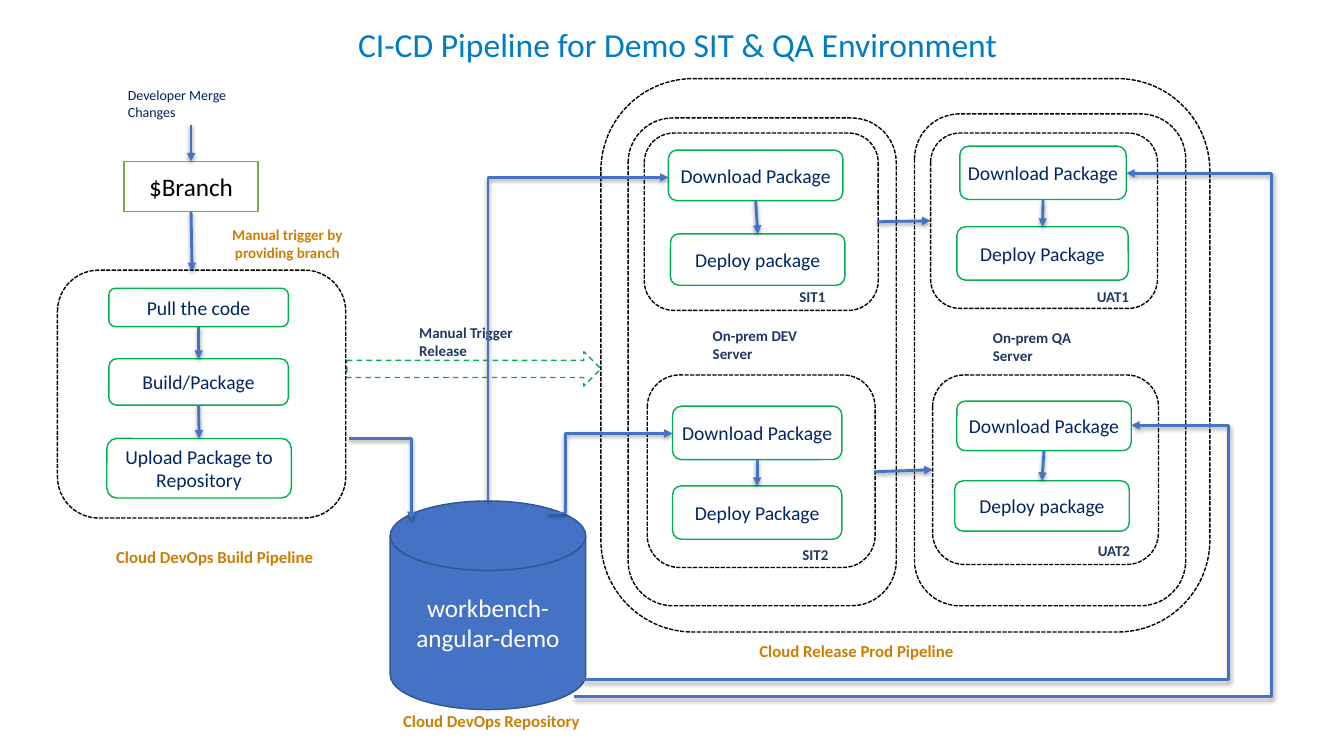
from lxml.etree import SubElement
from pptx import Presentation
from pptx.dml.color import RGBColor
from pptx.enum.dml import MSO_LINE
from pptx.enum.shapes import MSO_CONNECTOR, MSO_SHAPE
from pptx.enum.text import MSO_ANCHOR, MSO_AUTO_SIZE, PP_ALIGN
from pptx.oxml.ns import qn
from pptx.util import Inches, Pt

COLORS = {
    "title": "007CC3", "step": "002663", "note": "002060", "label": "203864",
    "caption": "CB7F04", "black": "000000", "white": "FFFFFF", "green": "00B050",
    "branch": "70AD47", "blue": "4472C4", "store": "325491",
}
FONTS = {
    "title": {"size": Pt(24), "bold": False},
    "step": {"size": Pt(14), "bold": False},
    "note": {"size": Pt(10), "bold": False},
    "label": {"size": Pt(10.7), "bold": True},
    "caption": {"size": Pt(12), "bold": True},
    "trigger": {"size": Pt(10.7), "bold": True, "color": "caption"},
    "branch": {"size": Pt(18), "bold": False, "color": "black"},
    "store": {"size": Pt(18), "bold": False, "color": "white"},
}
PLAIN_MARGINS = (0.1, 0.05)
STEP_MARGINS = (0.02, 0.05)
CAPTION_MARGINS = (0.13, 0.07)


def color(name):
    return RGBColor.from_string(COLORS[name])


def inches(values):
    return [Inches(value) for value in values]


def shifted(box, offset):
    """Turn a box given relative to another box into a slide box."""
    return (box[0] + offset[0], box[1] + offset[1], *offset[2:])


def write(shape, text, style, align=PP_ALIGN.CENTER, anchor=MSO_ANCHOR.MIDDLE,
          margins=PLAIN_MARGINS):
    frame = shape.text_frame
    side, edge = inches(margins)
    frame_format = {
        "word_wrap": True, "auto_size": MSO_AUTO_SIZE.NONE, "vertical_anchor": anchor,
        "margin_left": side, "margin_right": side, "margin_top": edge, "margin_bottom": edge,
    }
    for name, value in frame_format.items():
        setattr(frame, name, value)
    paragraph = frame.paragraphs[0]
    paragraph.alignment = align
    run = paragraph.add_run()
    run.text = text
    font_format = {"name": "Calibri", **FONTS[style]}
    run.font.color.rgb = color(font_format.pop("color", style))
    for name, value in font_format.items():
        setattr(run.font, name, value)


def add_label(slide, box, text, style="label", align=PP_ALIGN.LEFT, margins=PLAIN_MARGINS):
    write(slide.shapes.add_textbox(*inches(box)), text, style, align, MSO_ANCHOR.TOP, margins)


def add_caption(slide, box, text, style="caption"):
    add_label(slide, box, text, style, PP_ALIGN.CENTER, CAPTION_MARGINS)


def add_outline(slide, kind, box, line, fill=None, dash=None):
    shape = slide.shapes.add_shape(kind, *inches(box))
    shape.shadow.inherit = False
    if fill:
        shape.fill.solid()
        shape.fill.fore_color.rgb = color(fill)
    else:
        shape.fill.background()
    shape.line.color.rgb = color(line)
    shape.line.width = Pt(1)
    if dash:
        shape.line.dash_style = dash
    return shape


def add_group_frame(slide, box):
    add_outline(slide, MSO_SHAPE.ROUNDED_RECTANGLE, box, "black", dash=MSO_LINE.SQUARE_DOT)


def add_step(slide, box, text):
    shape = add_outline(slide, MSO_SHAPE.FLOWCHART_ALTERNATE_PROCESS, box, "green")
    write(shape, text, "step", margins=STEP_MARGINS)


def add_arrow(slide, start, end, preset="line", bend=None, head="tailEnd"):
    kind = MSO_CONNECTOR.STRAIGHT if preset == "line" else MSO_CONNECTOR.ELBOW
    connector = slide.shapes.add_connector(kind, *inches((*start, *end)))
    connector.line.color.rgb = color("blue")
    connector.line.width = Pt(2)
    properties = connector._element.spPr
    SubElement(properties.find(qn("a:ln")), qn("a:" + head), type="triangle")
    geometry = properties.find(qn("a:prstGeom"))
    geometry.set("prst", preset)
    if bend is not None:
        guides = geometry.find(qn("a:avLst"))
        if guides is None:
            guides = SubElement(geometry, qn("a:avLst"))
        SubElement(guides, qn("a:gd"), name="adj1", fmla=f"val {round(bend * 100000)}")
    # Soft shadow below the line
    effects = SubElement(properties, qn("a:effectLst"))
    shadow = SubElement(effects, qn("a:outerShdw"), blurRad=str(Pt(3)), dist=str(Pt(1.6)),
                        dir="5400000", rotWithShape="0")
    tint = SubElement(shadow, qn("a:srgbClr"), val=COLORS["black"])
    SubElement(tint, qn("a:alpha"), val="38000")


def add_detour(slide, start, end, turn):
    """Horizontal, vertical, horizontal arrow that turns at a given x."""
    bend = (turn - start[0]) / (end[0] - start[0])
    add_arrow(slide, start, end, "bentConnector3", bend)


def add_step_chain(slide, box, steps):
    """Steps under each other, each joined to the next by an arrow."""
    previous = None
    for text, offset in steps:
        left, top, width, height = place = shifted(box, offset)
        add_step(slide, place, text)
        center = left + width / 2
        if previous:
            add_arrow(slide, previous, (center, top))
        previous = (center, top + height)


def add_title(slide, box):
    title = slide.shapes.title
    title.left, title.top, title.width, title.height = inches(box)
    write(title, "CI-CD Pipeline for Demo SIT & QA Environment", "title", anchor=MSO_ANCHOR.TOP)
    title.text_frame.paragraphs[0].line_spacing = 0.9


def add_branch(slide, box):
    left, top, width, height = box
    add_label(slide, shifted(box, (-0.06, -0.79, 1.53, 0.42)), "Developer Merge Changes", "note")
    shape = add_outline(slide, MSO_SHAPE.RECTANGLE, box, "branch", "white")
    write(shape, "$Branch", "branch")
    center = left + width / 2
    add_arrow(slide, (center, top - 0.36), (center, top))
    add_arrow(slide, (center, top + height), (center + 0.01, top + 1.09))
    add_caption(slide, shifted(box, (0.91, 0.57, 1.42, 0.49)),
                "Manual trigger by providing branch", "trigger")


def add_build_pipeline(slide, box):
    add_group_frame(slide, box)
    add_step_chain(slide, box, [
        ("Pull the code", (0.51, 0.18, 1.78, 0.38)),
        ("Build/Package", (0.51, 0.88, 1.78, 0.46)),
        ("Upload Package to Repository", (0.49, 1.67, 1.83, 0.59)),
    ])
    add_caption(slide, shifted(box, (0.29, 2.67, 2.54, 0.34)), "Cloud DevOps Build Pipeline")


def add_environment(slide, box, name, name_offset, deploy_text, download, deploy):
    add_group_frame(slide, box)
    add_step_chain(slide, box, [("Download Package", download), (deploy_text, deploy)])
    add_label(slide, shifted(box, (*name_offset, 1.15, 0.28)), name)


def add_release_pipeline(slide, box):
    # Nested frames: whole pipeline, DEV server, QA server
    for offset in [(0, 0, *box[2:]), (0.27, 0.39, 2.66, 4.84), (3.11, 0.35, 2.69, 4.88)]:
        add_group_frame(slide, shifted(box, offset))
    environments = [
        ((0.43, 0.54, 2.32, 1.76), "SIT1", (1.44, 1.48), "Deploy package",
         (0.24, 0.17, 1.73, 0.5), (0.26, 1, 1.73, 0.51)),
        ((3.27, 0.54, 2.25, 1.74), "UAT1", (1.55, 1.48), "Deploy Package",
         (0.29, 0.13, 1.65, 0.53), (0.26, 0.93, 1.7, 0.53)),
        ((0.46, 2.94, 2.26, 1.91), "SIT2", (1.44, 1.64), "Deploy Package",
         (0.25, 0.31, 1.68, 0.53), (0.25, 1.1, 1.68, 0.53)),
        ((3.29, 2.94, 2.24, 1.88), "UAT2", (1.54, 1.6), "Deploy package",
         (0.24, 0.26, 1.73, 0.49), (0.22, 1.05, 1.73, 0.5)),
    ]
    for offset, *details in environments:
        add_environment(slide, shifted(box, offset), *details)
    add_label(slide, shifted(box, (1.01, 2.41, 1.15, 0.47)), "On-prem DEV Server")
    add_label(slide, shifted(box, (3.79, 2.43, 1.1, 0.47)), "On-prem QA Server")
    # Promotion from SIT to UAT
    for start, end in [((2.74, 1.42), (3.27, 1.41)), ((2.72, 3.9), (3.29, 3.88))]:
        add_arrow(slide, shifted(box, start), shifted(box, end))
    add_caption(slide, shifted(box, (1.25, 5.51, 2.57, 0.34)), "Cloud Release Prod Pipeline")


def add_repository(slide, box):
    shape = add_outline(slide, MSO_SHAPE.FLOWCHART_MAGNETIC_DISK, box, "store", "blue")
    write(shape, "workbench-angular-demo", "store")
    add_caption(slide, shifted(box, (-0.27, 2.01, 2.55, 0.34)), "Cloud DevOps Repository")


def add_package_routes(slide):
    # Into the repository, then out to each environment
    add_arrow(slide, (3.46, 4.35), (4.08, 5.16), "bentConnector2")
    add_arrow(slide, (6.63, 1.76), (4.84, 4.97), "bentConnector2", head="headEnd")
    add_detour(slide, (5.69, 6.91), (11.17, 1.72), 12.61)
    add_detour(slide, (5.78, 6.74), (11.22, 4.22), 12.19)
    add_detour(slide, (5.44, 5.09), (6.67, 4.3), 5.61)


def add_release_trigger(slide, box):
    add_label(slide, shifted(box, (0.62, -0.33, 1.14, 0.46)), "Manual Trigger Release")
    add_outline(slide, MSO_SHAPE.RIGHT_ARROW, box, "green", dash=MSO_LINE.DASH)


def main():
    presentation = Presentation()
    presentation.slide_width, presentation.slide_height = inches((13.33, 7.5))
    slide = presentation.slides.add_slide(presentation.slide_layouts[5])
    add_title(slide, (1.95, 0.23, 9.54, 0.5))
    add_release_trigger(slide, (3.44, 3.49, 2.52, 0.34))
    add_branch(slide, (1.23, 1.6, 1.33, 0.5))
    add_build_pipeline(slide, (0.57, 2.68, 2.86, 2.46))
    add_release_pipeline(slide, (5.96, 0.78, 6.04, 5.49))
    add_repository(slide, (3.87, 4.97, 1.94, 2.07))
    add_package_routes(slide)
    presentation.save("out.pptx")


if __name__ == "__main__":
    main()
